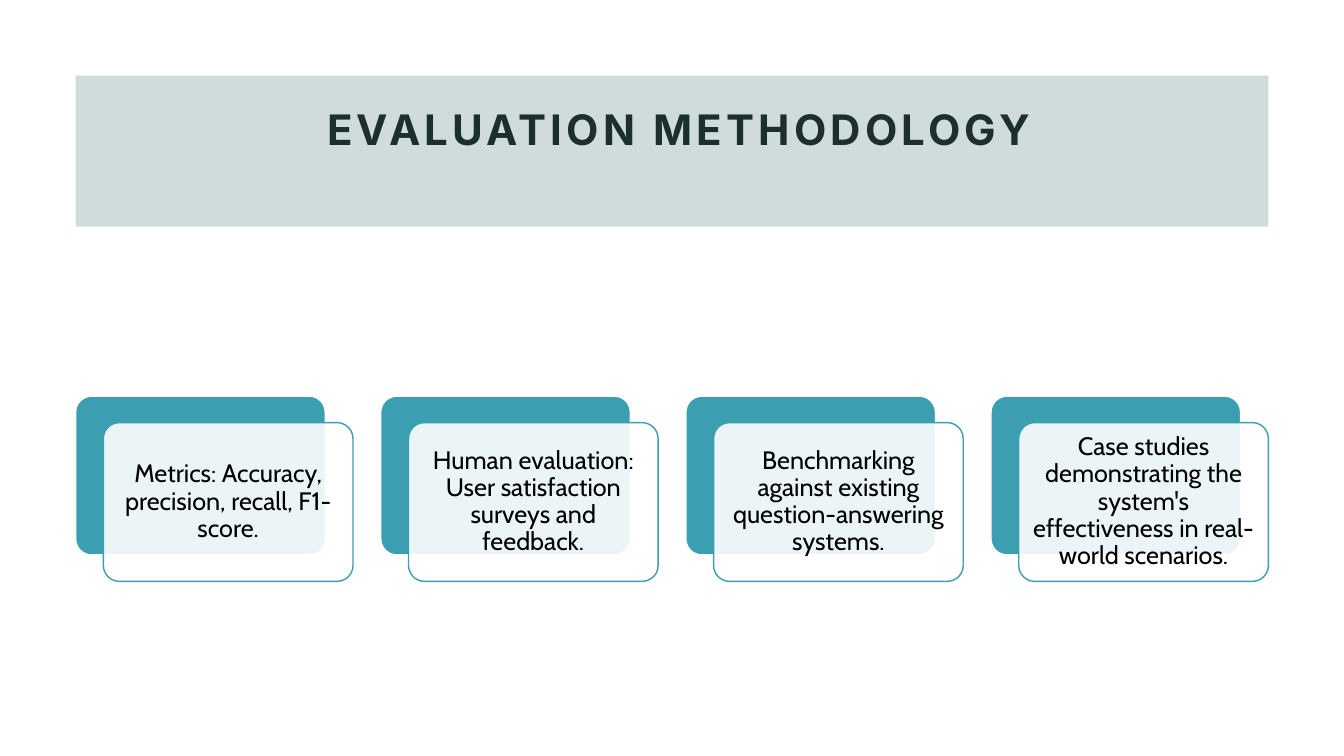
import pptx
import pptx.dml.color
import pptx.enum.shapes
import pptx.enum.text
import pptx.oxml
import pptx.oxml.ns
import pptx.util

SHAPES = pptx.enum.shapes.MSO_SHAPE
STEPS = [
    "Metrics: Accuracy, precision, recall, F1-score.",
    "Human evaluation: User satisfaction surveys and feedback.",
    "Benchmarking against existing question-answering systems.",
    "Case studies demonstrating the system's effectiveness in real-world scenarios.",
]


def hex_color(value):
    return pptx.dml.color.RGBColor.from_string(value)


def write_text(shape, text, font, size, color="000000", bold=False,
               tracking=0, insets=(0.07, 0.07, 0.07, 0.07)):
    """Write one centred paragraph; insets run left, top, right, bottom."""
    frame = shape.text_frame
    frame.word_wrap = True
    frame.auto_size = pptx.enum.text.MSO_AUTO_SIZE.NONE
    frame.vertical_anchor = pptx.enum.text.MSO_ANCHOR.MIDDLE
    (frame.margin_left, frame.margin_top,
     frame.margin_right, frame.margin_bottom) = map(pptx.util.Inches, insets)
    paragraph = frame.paragraphs[0]
    paragraph.alignment = pptx.enum.text.PP_ALIGN.CENTER
    paragraph.line_spacing = 0.9
    run = paragraph.add_run()
    run.text = text
    run.font.name = font
    run.font.size = pptx.util.Pt(size)
    run.font.bold = bold
    run.font.color.rgb = hex_color(color)
    if tracking:
        run.font._element.set("spc", str(tracking * 100))


class EvaluationSlide:
    """Grid of 43 columns between the side margins and 100 rows in height."""
    heading_font, body_font = "Inter", "Cabin"
    teal, band_color, ink, white = "3B9EB1", "437472", "1B2F2E", "FFFFFF"
    margin, columns, rows = 0.75, 43, 100

    def __init__(self, deck):
        self.slide = deck.slides.add_slide(deck.slide_layouts[5])
        self.width, self.height = deck.slide_width, deck.slide_height

    def box(self, column, row, across, down):
        edge = pptx.util.Inches(self.margin)
        column_width = (self.width - 2 * edge) / self.columns
        row_height = self.height / self.rows
        return [round(length) for length in (
            edge + column * column_width, row * row_height,
            across * column_width, down * row_height)]

    def title(self, text, *cell):
        heading = self.slide.shapes.title
        heading.left, heading.top, heading.width, heading.height = self.box(*cell)
        write_text(heading, text, self.heading_font, 30, self.ink, bold=True,
                   tracking=3, insets=(0.1, 0.05, 0.1, 0.53))

    def panel(self, kind, cell, fill, line=None, opacity=100):
        panel = self.slide.shapes.add_shape(kind, *self.box(*cell))
        panel.shadow.inherit = False
        panel.fill.solid()
        panel.fill.fore_color.rgb = hex_color(fill)
        if opacity < 100:
            tint = panel._element.spPr.find(".//" + pptx.oxml.ns.qn("a:srgbClr"))
            tint.append(pptx.oxml.parse_xml(
                f'<a:alpha {pptx.oxml.ns.nsdecls("a")} val="{opacity * 1000}"/>'))
        if line:
            panel.line.color.rgb = hex_color(line)
            panel.line.width = pptx.util.Pt(1)
        else:
            panel.line.fill.background()
        if kind == SHAPES.ROUNDED_RECTANGLE:
            panel.adjustments[0] = 0.1
        return panel

    def band(self, *cell):
        band = self.panel(SHAPES.RECTANGLE, cell, self.band_color, opacity=25)
        # The band lies behind the title
        self.slide.shapes._spTree.insert(2, band._element)

    def card(self, text, column, row, across, down, shift_across, shift_down):
        self.panel(SHAPES.ROUNDED_RECTANGLE, (column, row, across, down),
                   self.teal, self.white)
        front = self.panel(
            SHAPES.ROUNDED_RECTANGLE,
            (column + shift_across, row + shift_down, across, down),
            self.white, self.teal, opacity=90)
        write_text(front, text, self.body_font, 18)


def main():
    deck = pptx.Presentation()
    deck.slide_width = pptx.util.Inches(13.33)
    deck.slide_height = pptx.util.Inches(7.5)
    evaluation = EvaluationSlide(deck)

    # Heading
    evaluation.title(" EVALUATION METHODOLOGY", 2.84, 13.87, 37.33, 13.6)
    evaluation.band(0, 10, 43, 20)

    # Four cards: nine columns each, one for the shift and one for the gap
    for index, step in enumerate(STEPS):
        evaluation.card(step, index * 11, 52.4, 9, 21, 1, 3.5)

    deck.save("out.pptx")


if __name__ == "__main__":
    main()
